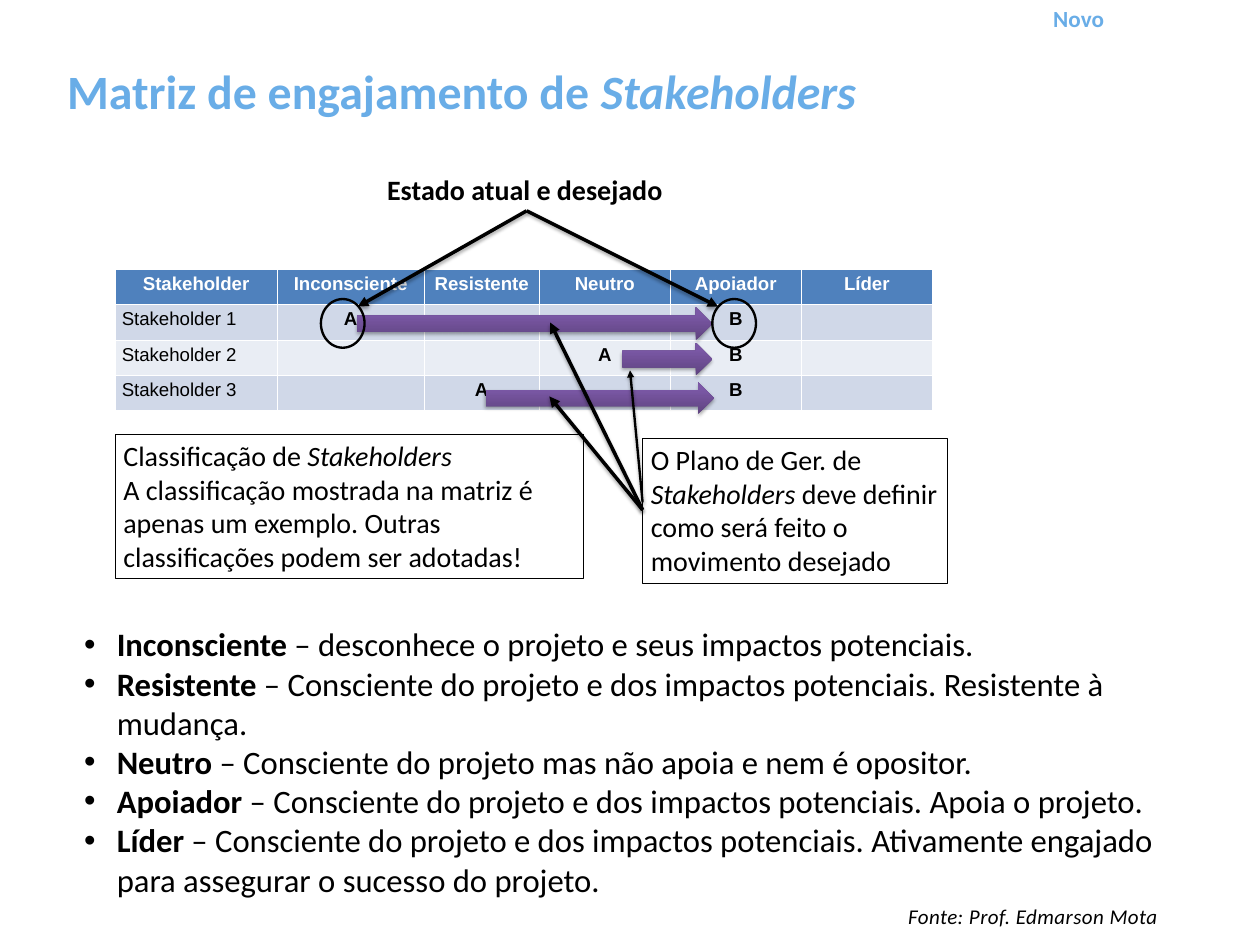
from copy import deepcopy
from typing import NamedTuple

from lxml.etree import SubElement
from pptx import Presentation
from pptx.dml.color import RGBColor
from pptx.enum.shapes import MSO_CONNECTOR as Connector, MSO_SHAPE as Shape
from pptx.enum.text import MSO_ANCHOR as Anchor, MSO_AUTO_SIZE as AutoSize, PP_ALIGN as Align
from pptx.oxml.ns import qn
from pptx.util import Inches, Pt

BLACK = RGBColor(0x00, 0x00, 0x00)
WHITE = RGBColor(0xFF, 0xFF, 0xFF)
SKY = RGBColor(0x69, 0xAD, 0xE7)
HEADER = RGBColor(0x4F, 0x81, 0xBD)
BANDS = (RGBColor(0xD0, 0xD8, 0xE8), RGBColor(0xE9, 0xED, 0xF4))
PURPLES = (
    (0, RGBColor(0x5F, 0x44, 0x80)),
    (0.8, RGBColor(0x7B, 0x58, 0xA6)),
    (1, RGBColor(0x7C, 0x57, 0xA8)),
)


class Span(NamedTuple):
    text: str
    bold: bool = False
    italic: bool = False


class Area(NamedTuple):
    left: float
    top: float
    width: float
    height: float


class Pointer(NamedTuple):
    start: tuple[float, float]
    end: tuple[float, float]
    weight: float = 3


class Note(NamedTuple):
    area: Area
    paragraphs: list[list[Span]]
    bordered: bool = True
    wrap: bool = True


COLUMNS = ["Stakeholder", "Inconsciente", "Resistente", "Neutro", "Apoiador", "Líder"]
COLUMN_WIDTHS = [1.93, 1.75, 1.37, 1.56, 1.56, 1.56]
ROW_HEIGHT = 0.42
CURRENT_STATES = ["Inconsciente", "Neutro", "Resistente"]
DESIRED_STATE = "Apoiador"

MOVES = [Area(4.25, 3.66, 4.23, 0.39), Area(7.41, 4.08, 1.07, 0.39), Area(5.78, 4.55, 2.72, 0.38)]
CIRCLES = [Area(left, 3.56, 0.52, 0.58) for left in (3.82, 8.48)]
POINTERS = [
    Pointer((6.27, 2.51), (4.26, 3.65)),
    Pointer((6.27, 2.51), (8.55, 3.65)),
    Pointer((7.65, 6.07), (6.55, 3.84)),
    Pointer((7.65, 5.98), (7.5, 4.41), 2),
    Pointer((7.65, 6.07), (6.54, 4.72)),
]
NOTES = [
    Note(Area(4.51, 2, 3.52, 0.5), [[Span("Estado atual e desejado", bold=True)]], False, False),
    Note(Area(7.65, 5.22, 3.63, 1.72), [[
        Span("O Plano de Ger. de "),
        Span("Stakeholders ", italic=True),
        Span("deve definir como será feito o movimento desejado"),
    ]]),
    Note(Area(1.37, 5.17, 5.58, 1.72), [
        [Span("Classificação de "), Span("Stakeholders", italic=True)],
        [Span("A classificação mostrada na matriz é apenas um exemplo. "
              "Outras classificações podem ser adotadas!")],
    ]),
]
DEFINITIONS = {
    "Inconsciente": "desconhece o projeto e seus impactos potenciais.",
    "Resistente": "Consciente do projeto e dos impactos potenciais. Resistente à mudança.",
    "Neutro": "Consciente do projeto mas não apoia e nem é opositor.",
    "Apoiador": "Consciente do projeto e dos impactos potenciais. Apoia o projeto.",
    "Líder": "Consciente do projeto e dos impactos potenciais. "
             "Ativamente engajado para assegurar o sucesso do projeto.",
}


def place(shape, area: Area) -> None:
    shape.left, shape.top, shape.width, shape.height = map(Inches, area)


def write(frame, paragraphs: list[list[Span]], size: float, color: RGBColor = BLACK) -> None:
    frame.auto_size = AutoSize.NONE
    frame.vertical_anchor = Anchor.TOP
    for index, spans in enumerate(paragraphs):
        para = frame.add_paragraph() if index else frame.paragraphs[0]
        para.alignment = Align.LEFT
        para.space_before = Pt(0)
        for span in spans:
            run = para.add_run()
            run.text = span.text
            font = run.font
            font.name, font.size = "Calibri", Pt(size)
            font.bold, font.italic = span.bold, span.italic
            font.color.rgb = color


def add_text(page, area: Area, span: Span, size: float, color: RGBColor = BLACK):
    box = page.shapes.add_textbox(*map(Inches, area))
    box.text_frame.word_wrap = True
    write(box.text_frame, [[span]], size, color)
    return box


def add_shadow(shape) -> None:
    properties = shape._element.spPr
    effects = properties.find(qn("a:effectLst"))
    if effects is None:
        effects = SubElement(properties, qn("a:effectLst"))
    shadow = SubElement(effects, qn("a:outerShdw"), blurRad=str(Pt(3.1)), dist=str(Pt(1.8)),
                        dir="5400000", rotWithShape="0")
    color = SubElement(shadow, qn("a:srgbClr"), val=str(BLACK))
    SubElement(color, qn("a:alpha"), val="35000")


def add_shape(page, kind: Shape, area: Area):
    shape = page.shapes.add_shape(kind, *map(Inches, area))
    shape.shadow.inherit = False
    return shape


def add_move(page, area: Area) -> None:
    arrow = add_shape(page, Shape.RIGHT_ARROW, area)
    arrow.line.fill.background()
    arrow.fill.gradient()
    arrow.fill.gradient_angle = 90
    stops = arrow._element.spPr.find(".//" + qn("a:gsLst"))
    stops.append(deepcopy(stops[0]))
    for stop, (position, color) in zip(arrow.fill.gradient_stops, PURPLES):
        stop.position = position
        stop.color.rgb = color
    add_shadow(arrow)


def add_circle(page, area: Area) -> None:
    circle = add_shape(page, Shape.OVAL, area)
    circle.fill.background()
    circle.line.color.rgb = BLACK
    circle.line.width = Pt(2)


def add_note(page, note: Note) -> None:
    box = add_shape(page, Shape.RECTANGLE, note.area)
    box.fill.solid()
    box.fill.fore_color.rgb = WHITE
    if note.bordered:
        box.line.color.rgb = BLACK
        box.line.width = Pt(0.75)
    else:
        box.line.fill.background()
    box.text_frame.word_wrap = note.wrap
    write(box.text_frame, note.paragraphs, 24)


def add_pointer(page, pointer: Pointer) -> None:
    line = page.shapes.add_connector(
        Connector.STRAIGHT, *map(Inches, pointer.start), *map(Inches, pointer.end))
    line.line.color.rgb = BLACK
    line.line.width = Pt(pointer.weight)
    SubElement(line._element.spPr.find(qn("a:ln")), qn("a:tailEnd"), type="triangle")
    add_shadow(line)


def add_matrix(page) -> None:
    rows = [COLUMNS]
    for number, current in enumerate(CURRENT_STATES, 1):
        marks = {"Stakeholder": f"Stakeholder {number}", current: "A", DESIRED_STATE: "B"}
        rows.append([marks.get(column, "") for column in COLUMNS])
    area = Area(1.37, 3.21, sum(COLUMN_WIDTHS), ROW_HEIGHT * len(rows))
    table = page.shapes.add_table(len(rows), len(COLUMNS), *map(Inches, area)).table
    for column, width in zip(table.columns, COLUMN_WIDTHS):
        column.width = Inches(width)
    for r, texts in enumerate(rows):
        table.rows[r].height = Inches(ROW_HEIGHT)
        for c, text in enumerate(texts):
            cell = table.cell(r, c)
            cell.margin_left = cell.margin_right = Inches(0.08)
            cell.fill.solid()
            cell.fill.fore_color.rgb = BANDS[(r - 1) % 2] if r else HEADER
            if not text:
                continue
            is_name = r > 0 and c == 0
            para = cell.text_frame.paragraphs[0]
            para.text = text
            para.alignment = Align.LEFT if is_name else Align.CENTER
            font = para.runs[0].font
            font.name, font.size, font.bold = "Arial", Pt(16), not is_name
            font.color.rgb = BLACK if r else WHITE


def main() -> None:
    deck = Presentation()
    deck.slide_width, deck.slide_height = Inches(15), Inches(11.25)
    page = deck.slides.add_slide(deck.slide_layouts[1])
    title, body = page.placeholders

    place(title, Area(0.7, 0.69, 12.51, 0.64))
    write(title.text_frame, [[Span("Matriz de engajamento de ", bold=True),
                              Span("Stakeholders", bold=True, italic=True)]], 41, SKY)

    place(body, Area(0.9, 7.38, 13.2, 3.4))
    write(body.text_frame, [[Span(term, bold=True), Span(f" – {meaning}")]
                            for term, meaning in DEFINITIONS.items()], 28)
    for para in body.text_frame.paragraphs:
        indents = para._p.get_or_add_pPr()
        indents.set("marL", str(Inches(0.39)))
        indents.set("indent", str(-Inches(0.39)))

    add_matrix(page)
    for area in MOVES:
        add_move(page, area)
    for area in CIRCLES:
        add_circle(page, area)
    for note in NOTES:
        add_note(page, note)
    for pointer in POINTERS:
        add_pointer(page, pointer)

    source = add_text(page, Area(10.81, 10.68, 4.19, 0.38),
                      Span("Fonte: Prof. Edmarson Mota", italic=True), 18)
    frame = source.text_frame
    frame.vertical_anchor = Anchor.MIDDLE
    frame.margin_left = frame.margin_right = frame.margin_bottom = 0
    frame.margin_top = Inches(0.07)
    frame.paragraphs[0].runs[0].font._element.set("spc", "40")

    add_text(page, Area(12.44, 0, 1.81, 0.38), Span("Novo", bold=True), 19.8, SKY)
    deck.save("out.pptx")


if __name__ == "__main__":
    main()
